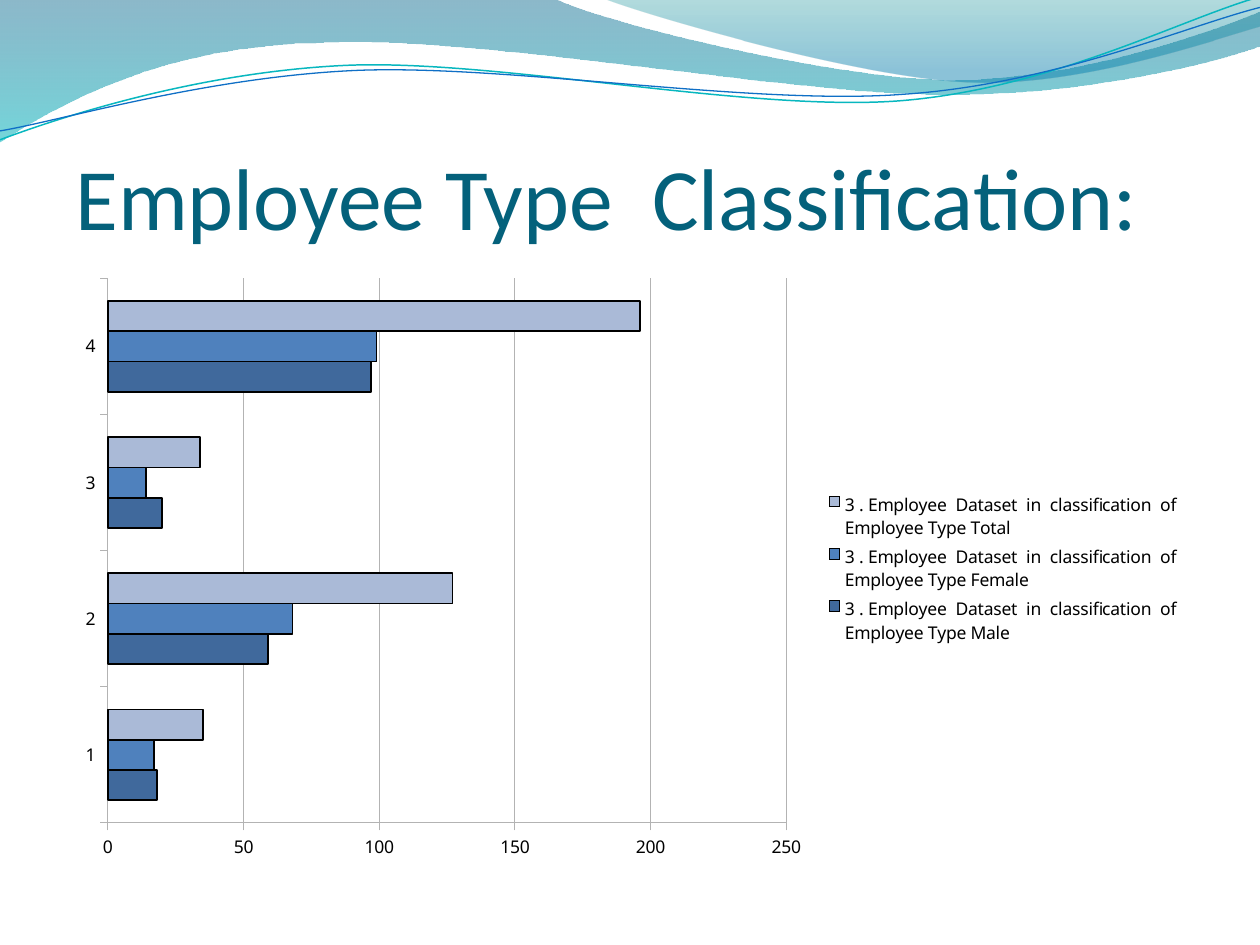
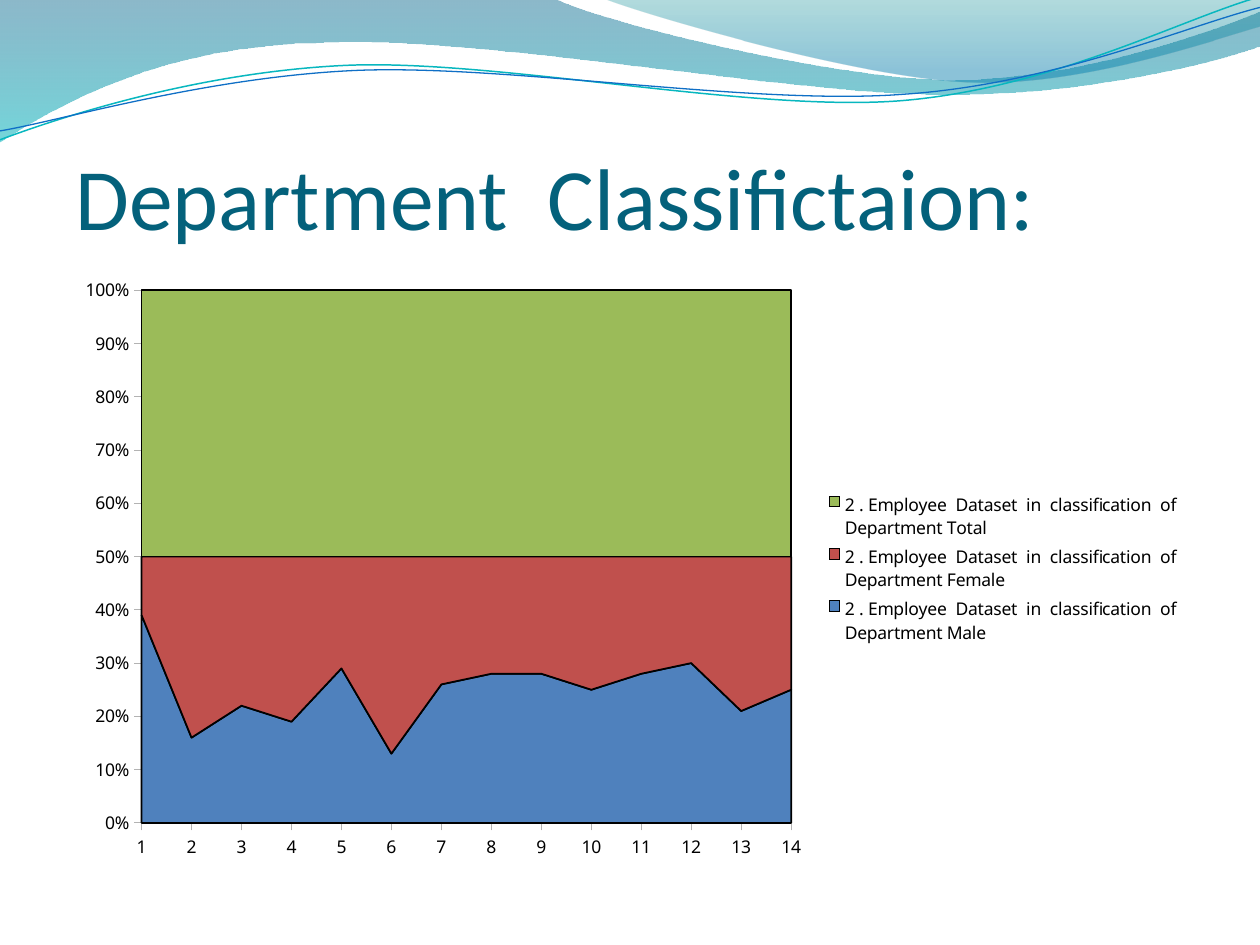
from pptx import Presentation
from pptx.chart.data import CategoryChartData
from pptx.dml.color import RGBColor
from pptx.enum.chart import XL_CHART_TYPE, XL_LEGEND_POSITION, XL_TICK_MARK
from pptx.enum.text import MSO_ANCHOR
from pptx.oxml.ns import qn
from pptx.util import Cm, Pt

COLOURS = {
    "title": "04617B", "text": "000000", "outline": "000000", "axis": "B3B3B3",
    "band_top": "00638A", "band_bottom": "00B4BC",
    "corner_top": "008990", "corner_bottom": "007CAC",
    "teal_line": "08B7BF", "blue_line": "0F6FC6",
    "navy": "40699C", "blue": "4F81BD", "pale_blue": "AABAD7",
    "red": "C0504D", "green": "9BBB59",
}
TITLE_FONT, CHART_FONT = "Calibri", "Noto Sans"
LINE_TILT = 357.3

# Boxes: left, top, width, height in cm
HEADER_BOX = (0, 0, 25.4, 2.87)
TITLE_BOX = (1.27, 1.96, 22.86, 3.17)
CHART_BOX = (1.27, 5.37, 22.86, 12.19)

# Wave outlines in cm: a start, then straight (1 point) or curved (3 points) steps
BAND = [
    [(0, 0)], [(11.18, -0.03)],
    [(12.09, 0.43), (16.84, 1.6), (19.25, 1.6)],
    [(21.67, 1.6), (24.33, 0.66), (25.4, 0.23)], [(25.43, 0.91)],
    [(24.97, 1.12), (22.1, 1.93), (18.95, 1.9)],
    [(15.8, 1.9), (9.7, 0.71), (6.53, 0.86)],
    [(3.28, 0.89), (1.17, 2.11), (-0.03, 2.87)],
]
CORNER = [
    [(12.17, -0.03)],
    [(12.93, 0.28), (17.32, 1.57), (19.53, 1.65)],
    [(21.74, 1.75), (24.41, 0.81), (25.4, 0.53)], [(25.4, 0)],
]
# The two thin lines are given before their tilt
TEAL_LINE = [
    [(-0.05, 2.22)],
    [(1.19, 1.82), (4.02, 1.04), (7.02, 1.05)],
    [(10.05, 1.07), (15.02, 2.37), (18.08, 2.29)],
    [(21.13, 2.2), (23.86, 0.91), (25.4, 0.55)],
]
BLUE_LINE = [
    [(-0.04, 2.04)],
    [(1.16, 1.9), (4.17, 1.15), (7.2, 1.16)],
    [(10.25, 1.18), (15.13, 2.25), (18.19, 2.16)],
    [(21.22, 2.1), (23.93, 1.06), (25.45, 0.75)],
]


def colour(name):
    return RGBColor.from_string(COLOURS[name])


def add_outline(page, box, steps, closed):
    left, top = box[:2]
    points = [(Cm(left + x), Cm(top + y)) for step in steps for x, y in step]
    builder = page.shapes.build_freeform(*points[0])
    builder.add_line_segments(points[1:], close=closed)
    shape = builder.convert_to_shape()
    shape.shadow.inherit = False
    # Join the three points of each curved step into one Bézier segment
    segments = iter(list(shape.element.spPr.iter(qn("a:lnTo"))))
    for step in steps[1:]:
        parts = [next(segments) for _ in step]
        if len(parts) == 3:
            curve = parts[0].makeelement(qn("a:cubicBezTo"), {})
            parts[0].addprevious(curve)
            for part in parts:
                curve.append(part[0])
                part.getparent().remove(part)
    return shape


def add_wave_area(page, box, steps, stops):
    shape = add_outline(page, box, steps, closed=True)
    shape.line.fill.background()
    shape.fill.gradient()
    shape.fill.gradient_angle = 270
    for stop, (position, name, _) in zip(shape.fill.gradient_stops, stops):
        stop.position = position
        stop.color.rgb = colour(name)
    # Opacity of each gradient stop
    for element, (_, _, opacity) in zip(shape.element.spPr.iter(qn("a:srgbClr")), stops):
        element.append(element.makeelement(qn("a:alpha"), {"val": str(opacity * 1000)}))


def add_wave_line(page, box, steps, name, width):
    shape = add_outline(page, box, steps, closed=False)
    shape.rotation = LINE_TILT
    shape.fill.background()
    shape.line.color.rgb = colour(name)
    shape.line.width = Pt(width)


def add_header(page, box):
    add_wave_area(page, box, BAND, [(0, "band_top", 45), (1, "band_bottom", 55)])
    add_wave_area(page, box, CORNER, [(0, "corner_top", 30), (0.8, "corner_bottom", 45)])
    add_wave_line(page, box, TEAL_LINE, "teal_line", 0.85)
    add_wave_line(page, box, BLUE_LINE, "blue_line", 0.75)


def add_title(page, box, text):
    frame = page.shapes.add_textbox(*map(Cm, box)).text_frame
    frame.word_wrap = True
    frame.vertical_anchor = MSO_ANCHOR.BOTTOM
    para = frame.paragraphs[0]
    para.text = text
    para.font.name = TITLE_FONT
    para.font.size = Pt(50)
    para.font.color.rgb = colour("title")


def add_staff_chart(page, box, kind, subject, series, number_format):
    """Series are (group, colour name, values), first one at the bottom."""
    data = CategoryChartData()
    data.categories = [str(number + 1) for number in range(len(series[0][2]))]
    for group, _, values in series:
        data.add_series(f"{subject} {group}", values)
    chart = page.shapes.add_chart(kind, *map(Cm, box), data).chart
    chart.has_title = False
    chart.font.name = CHART_FONT
    chart.font.size = Pt(10)
    chart.font.color.rgb = colour("text")

    # Legend
    chart.has_legend = True
    chart.legend.position = XL_LEGEND_POSITION.RIGHT
    chart.legend.include_in_layout = False

    # Axes and grid
    chart.value_axis.has_major_gridlines = True
    chart.value_axis.tick_labels.number_format = number_format
    chart.value_axis.tick_labels.number_format_is_linked = False
    lines = [chart.value_axis.major_gridlines.format.line]
    for axis in (chart.category_axis, chart.value_axis):
        axis.major_tick_mark = XL_TICK_MARK.OUTSIDE
        axis.minor_tick_mark = XL_TICK_MARK.NONE
        lines.append(axis.format.line)
    for line in lines:
        line.color.rgb = colour("axis")
        line.width = Pt(0.5)

    # Series
    plot = chart.plots[0]
    plot.vary_by_categories = False
    for drawn, (_, name, _) in zip(plot.series, series):
        drawn.format.fill.solid()
        drawn.format.fill.fore_color.rgb = colour(name)
        drawn.format.line.color.rgb = colour("outline")
        drawn.format.line.width = Pt(1)
    return plot


def add_page(deck, title):
    page = deck.slides.add_slide(deck.slide_layouts[6])
    add_header(page, HEADER_BOX)
    add_title(page, TITLE_BOX, title)
    return page


def build_employee_type(deck):
    page = add_page(deck, "Employee Type  Classification:")
    plot = add_staff_chart(
        page, CHART_BOX, XL_CHART_TYPE.BAR_CLUSTERED,
        "3 . Employee  Dataset  in  classification  of  Employee Type",
        [("Male", "navy", [18, 59, 20, 97]),
         ("Female", "blue", [17, 68, 14, 99]),
         ("Total", "pale_blue", [35, 127, 34, 196])],
        "General")
    plot.gap_width = 150
    for bars in plot.series:
        bars.invert_if_negative = False


def build_department(deck):
    page = add_page(deck, "Department  Classifictaion:")
    male = [39, 16, 22, 19, 29, 13, 26, 28, 28, 25, 28, 30, 21, 25]
    # Men and women make up the total, which is half of each stack
    total = [50] * len(male)
    female = [whole - men for whole, men in zip(total, male)]
    add_staff_chart(
        page, CHART_BOX, XL_CHART_TYPE.AREA_STACKED_100,
        "2 . Employee  Dataset  in  classification  of  Department",
        [("Male", "blue", male), ("Female", "red", female), ("Total", "green", total)],
        "0%")


def main():
    deck = Presentation()
    deck.slide_width, deck.slide_height = Cm(25.4), Cm(19.05)
    build_employee_type(deck)
    build_department(deck)
    deck.save("out.pptx")


if __name__ == "__main__":
    main()
